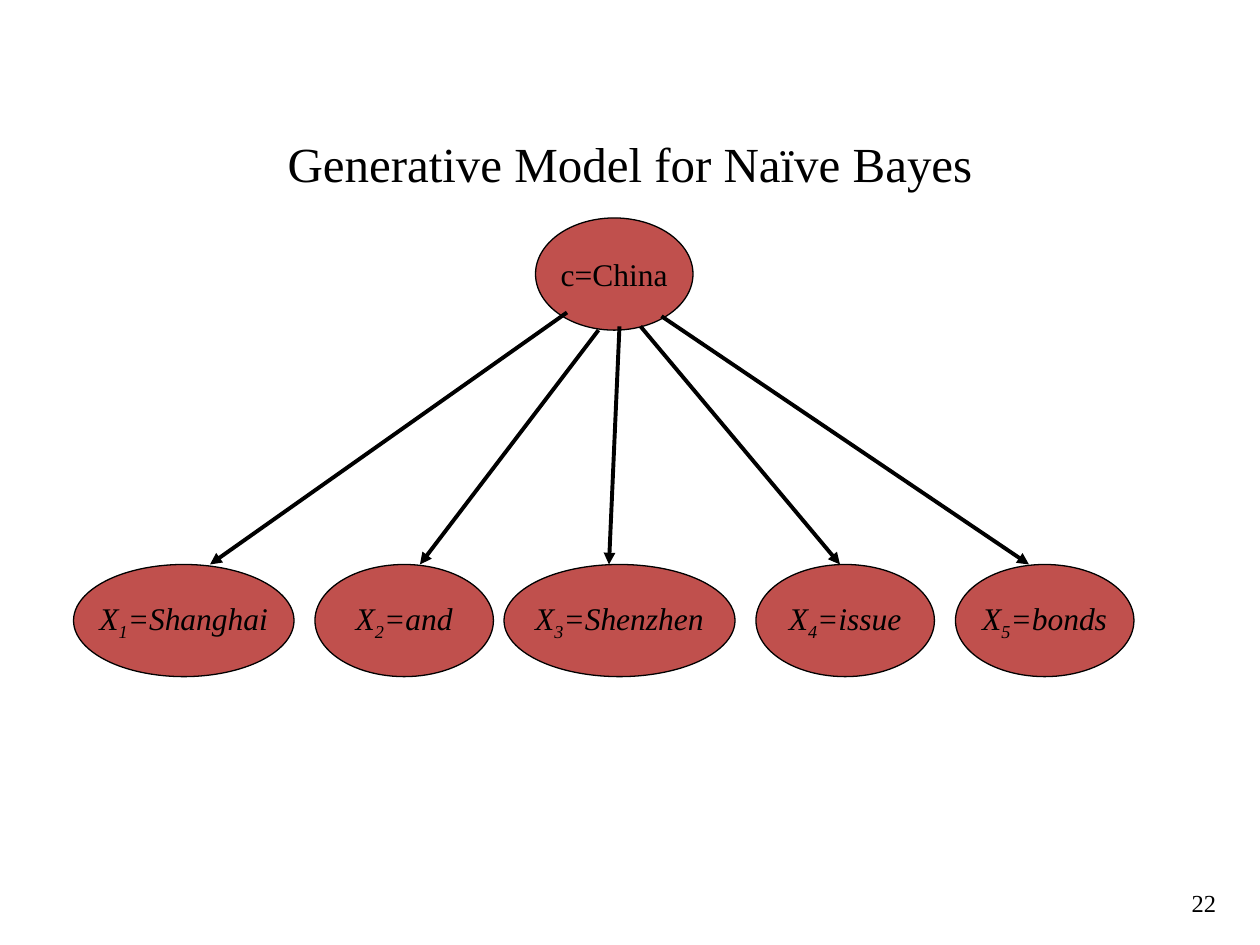
from pptx import Presentation, util as u
from pptx.dml.color import RGBColor
from pptx.enum import shapes, text
from pptx.oxml.ns import qn
from lxml import etree

# Content: columns count twelfths of an inch
TITLE = "Generative Model for Naïve Bayes"
ROOT = ("c=China", 51, 15)  # label, left, width
WORDS = [  # word, left, width, arrow start (column, inches down), arrow end column
    ("Shanghai", 7, 21, 54, 2.48, 20),
    ("and", 30, 17, 57, 2.62, 40),
    ("Shenzhen", 48, 22, 59, 2.59, 58),
    ("issue", 72, 17, 61, 2.59, 80),
    ("bonds", 91, 17, 63, 2.51, 98),
]
PAGE = "22"
FONT = "Times New Roman"
HEX = {"node": "C0504D", "ink": "000000"}
COL = u.Inches(10) / 120
ROOT_TOP, ROW_TOP, NODE_H = 1.73, 4.48, 0.89

prs = Presentation()
prs.slide_width, prs.slide_height = u.Inches(10), u.Inches(7.5)
slide = prs.slides.add_slide(prs.slide_layouts[5])


def color(name):
    return RGBColor.from_string(HEX[name])


def col(n):
    return u.Emu(round(n * COL))


def style(para, size, align, italic=False):
    para.alignment = align
    font = para.font
    font.name, font.size, font.italic = FONT, u.Pt(size), italic
    font.color.rgb = color("ink")


def node(parts, left, width, top, italic=False):
    oval = slide.shapes.add_shape(shapes.MSO_SHAPE.OVAL, col(left), u.Inches(top),
                                  col(width), u.Inches(NODE_H))
    oval.shadow.inherit = False
    oval.fill.solid()
    oval.fill.fore_color.rgb = color("node")
    oval.line.color.rgb = color("ink")
    oval.line.width = u.Pt(0.75)
    frame = oval.text_frame
    frame.word_wrap = False
    frame.vertical_anchor = text.MSO_ANCHOR.MIDDLE
    para = frame.paragraphs[0]
    style(para, 18, text.PP_ALIGN.CENTER, italic)
    for part in parts:
        run = para.add_run()
        run.text = part
        if part.isdigit():  # subscript
            run._r.get_or_add_rPr().set("baseline", "-25000")


def arrow(x1, y1, x2, y2):
    line = slide.shapes.add_connector(shapes.MSO_CONNECTOR.STRAIGHT, col(x1),
                                      u.Inches(y1), col(x2), u.Inches(y2))
    line.line.color.rgb = color("ink")
    line.line.width = u.Pt(2.25)
    etree.SubElement(line.line._get_or_add_ln(), qn("a:tailEnd"), type="triangle")
    etree.SubElement(line._element.spPr, qn("a:effectLst"))


# Title
title = slide.shapes.title
title.left, title.top = u.Inches(0.75), u.Inches(0.67)
title.width, title.height = u.Inches(8.5), u.Inches(1.25)
title.text_frame.text = TITLE
title.text_frame.vertical_anchor = text.MSO_ANCHOR.MIDDLE
style(title.text_frame.paragraphs[0], 28, text.PP_ALIGN.CENTER)

# Class node, word nodes and arrows
label, left, width = ROOT
node([label], left, width, ROOT_TOP)
for i, (word, left, width, x1, y1, x2) in enumerate(WORDS, 1):
    node(["X", str(i), "=" + word], left, width, ROW_TOP, italic=True)
    arrow(x1, y1, x2, ROW_TOP)

# Page number
box = slide.shapes.add_textbox(col(89), u.Inches(7), col(28), u.Inches(0.52))
box.text_frame.word_wrap = True
box.text_frame.text = PAGE
style(box.text_frame.paragraphs[0], 14, text.PP_ALIGN.RIGHT)

prs.save("out.pptx")
